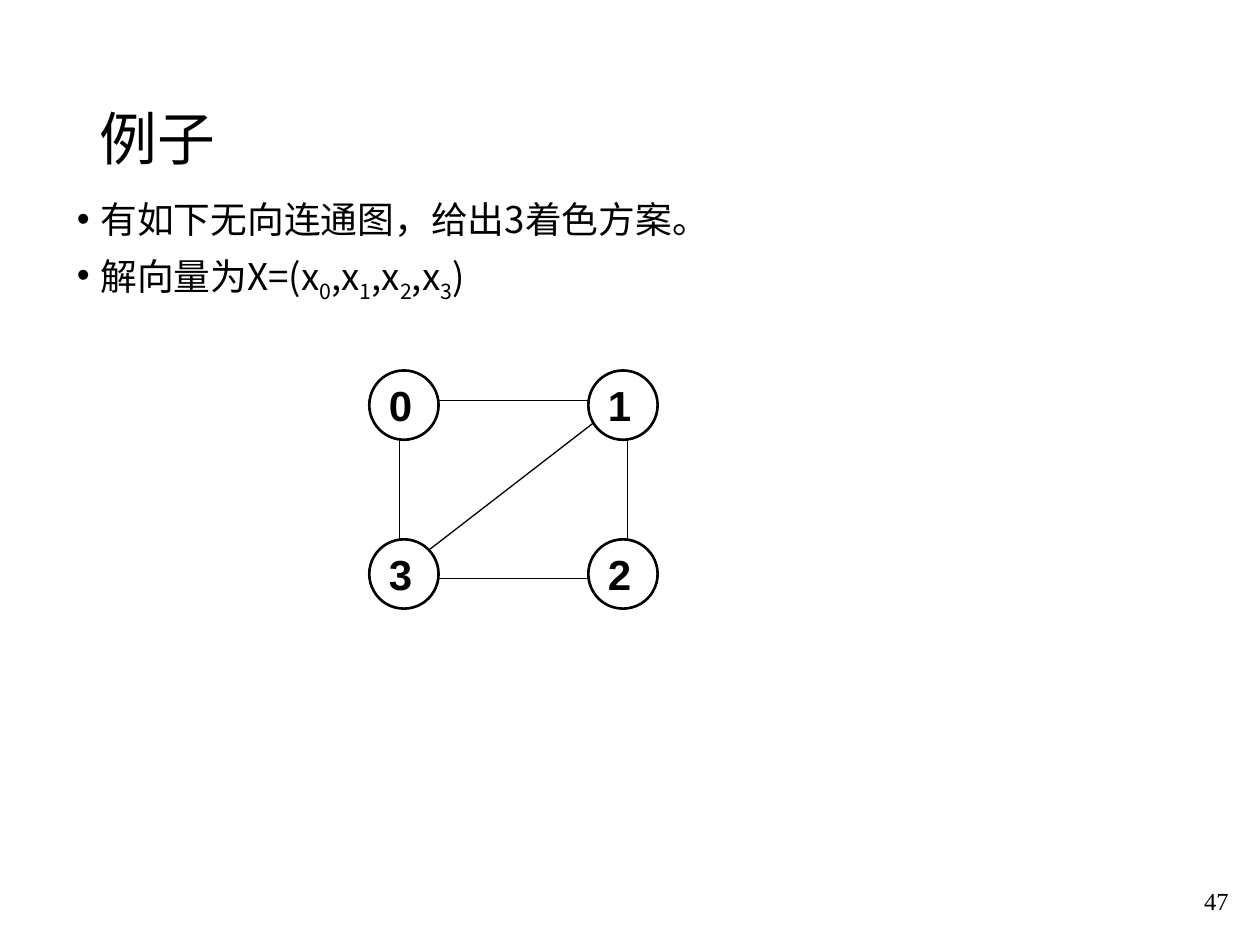
from dataclasses import dataclass

from lxml.etree import SubElement
from pptx import Presentation
from pptx.dml.color import RGBColor
from pptx.enum.shapes import MSO_CONNECTOR, MSO_SHAPE
from pptx.enum.text import MSO_ANCHOR, MSO_AUTO_SIZE, PP_ALIGN
from pptx.oxml.ns import qn
from pptx.util import Pt

BLACK, WHITE = "000000", "FFFFFF"
DIAMETER = 39.6
CJK = "Noto Sans CJK SC"
TITLE_FORMAT = {"size": Pt(33), "name": CJK}
BODY_FORMAT = {"size": Pt(21), "name": CJK}
NODE_FORMAT = {"size": Pt(24), "name": "Arial", "bold": True}
NUMBER_FORMAT = {"size": Pt(14), "name": "Times New Roman"}


@dataclass
class Node:
    name: str
    left: float
    top: float


@dataclass
class Edge:
    x1: float
    y1: float
    x2: float
    y2: float


LEFT, RIGHT, TOP, BOTTOM = 211, 336.2, 211.7, 308.2
NODES = [
    Node("0", LEFT, TOP),
    Node("1", RIGHT, TOP),
    Node("2", RIGHT, BOTTOM),
    Node("3", LEFT, BOTTOM),
]
EDGES = [
    Edge(250.6, 228.8, 336.2, 228.8),
    Edge(245.5, 330.5, 341.3, 330.5),
    Edge(341.3, 240, 245.5, 314),
    Edge(228.4, 251.3, 228.4, 314),
    Edge(358.7, 314, 358.7, 251.3),
]


def color(value: str) -> RGBColor:
    return RGBColor.from_string(value)


def place(shape, left: float, top: float, width: float, height: float) -> None:
    box = {"left": left, "top": top, "width": width, "height": height}
    for key, value in box.items():
        setattr(shape, key, Pt(value))


def add_run(paragraph, text: str, formats: dict, subscript: bool = False) -> None:
    run = paragraph.add_run()
    run.text = text
    for key, value in formats.items():
        setattr(run.font, key, value)
    run.font.color.rgb = color(BLACK)
    properties = run._r.get_or_add_rPr()
    if formats["name"] == CJK:
        SubElement(properties, qn("a:ea")).set("typeface", CJK)
    if subscript:
        properties.set("baseline", "-25000")


def add_bullet(paragraph, before: float) -> None:
    paragraph.line_spacing = 0.9
    paragraph.space_before = Pt(before)
    properties = paragraph._p.get_or_add_pPr()
    properties.set("marL", str(Pt(13.5)))
    properties.set("indent", str(-Pt(13.5)))
    SubElement(properties, qn("a:buFont")).set("typeface", "Arial")
    SubElement(properties, qn("a:buChar")).set("char", "•")


def add_edge(slide, edge: Edge) -> None:
    line = slide.shapes.add_connector(
        MSO_CONNECTOR.STRAIGHT, Pt(edge.x1), Pt(edge.y1), Pt(edge.x2), Pt(edge.y2)
    )
    line.line.color.rgb = color(BLACK)
    line.line.width = Pt(0.75)
    SubElement(line._element.spPr, qn("a:effectLst"))


def add_node(slide, node: Node) -> None:
    circle = slide.shapes.add_shape(
        MSO_SHAPE.OVAL, Pt(node.left), Pt(node.top), Pt(DIAMETER), Pt(DIAMETER)
    )
    circle.shadow.inherit = False
    circle.fill.solid()
    circle.fill.fore_color.rgb = color(WHITE)
    circle.line.color.rgb = color(BLACK)
    circle.line.width = Pt(1.5)

    label = slide.shapes.add_textbox(
        Pt(node.left + 11.2), Pt(node.top + 5.4), Pt(22.3), Pt(28.8)
    )
    frame = label.text_frame
    frame.word_wrap = True
    for side in ("left", "top", "right", "bottom"):
        setattr(frame, f"margin_{side}", 0)
    add_run(frame.paragraphs[0], node.name, NODE_FORMAT)


def main() -> None:
    presentation = Presentation()
    presentation.slide_width, presentation.slide_height = Pt(720), Pt(540)
    slide = presentation.slides.add_slide(presentation.slide_layouts[1])

    title = slide.shapes.title
    place(title, 49.7, 28.8, 620.6, 104.4)
    title.text_frame.vertical_anchor = MSO_ANCHOR.MIDDLE
    title.text_frame.auto_size = MSO_AUTO_SIZE.NONE
    heading = title.text_frame.paragraphs[0]
    heading.alignment = PP_ALIGN.LEFT
    heading.line_spacing = 0.9
    add_run(heading, "例子", TITLE_FORMAT)

    body = slide.placeholders[1]
    place(body, 36.7, 111.6, 648, 92.2)
    body.text_frame.auto_size = MSO_AUTO_SIZE.NONE
    task = body.text_frame.paragraphs[0]
    add_bullet(task, 0)
    add_run(task, "有如下无向连通图，给出3着色方案。", BODY_FORMAT)
    vector = body.text_frame.add_paragraph()
    add_bullet(vector, 7.5)
    for index, lead in enumerate(["解向量为X=(x", ",x", ",x", ",x"]):
        add_run(vector, lead, BODY_FORMAT)
        add_run(vector, str(index), BODY_FORMAT, subscript=True)
    add_run(vector, ")", BODY_FORMAT)

    for edge in EDGES:
        add_edge(slide, edge)
    for node in NODES:
        add_node(slide, node)

    page = slide.shapes.add_textbox(Pt(626.4), Pt(502.6), Pt(82.8), Pt(25.9))
    page.text_frame.word_wrap = True
    number = page.text_frame.paragraphs[0]
    number.alignment = PP_ALIGN.RIGHT
    add_run(number, "47", NUMBER_FORMAT)

    presentation.save("out.pptx")


if __name__ == "__main__":
    main()
